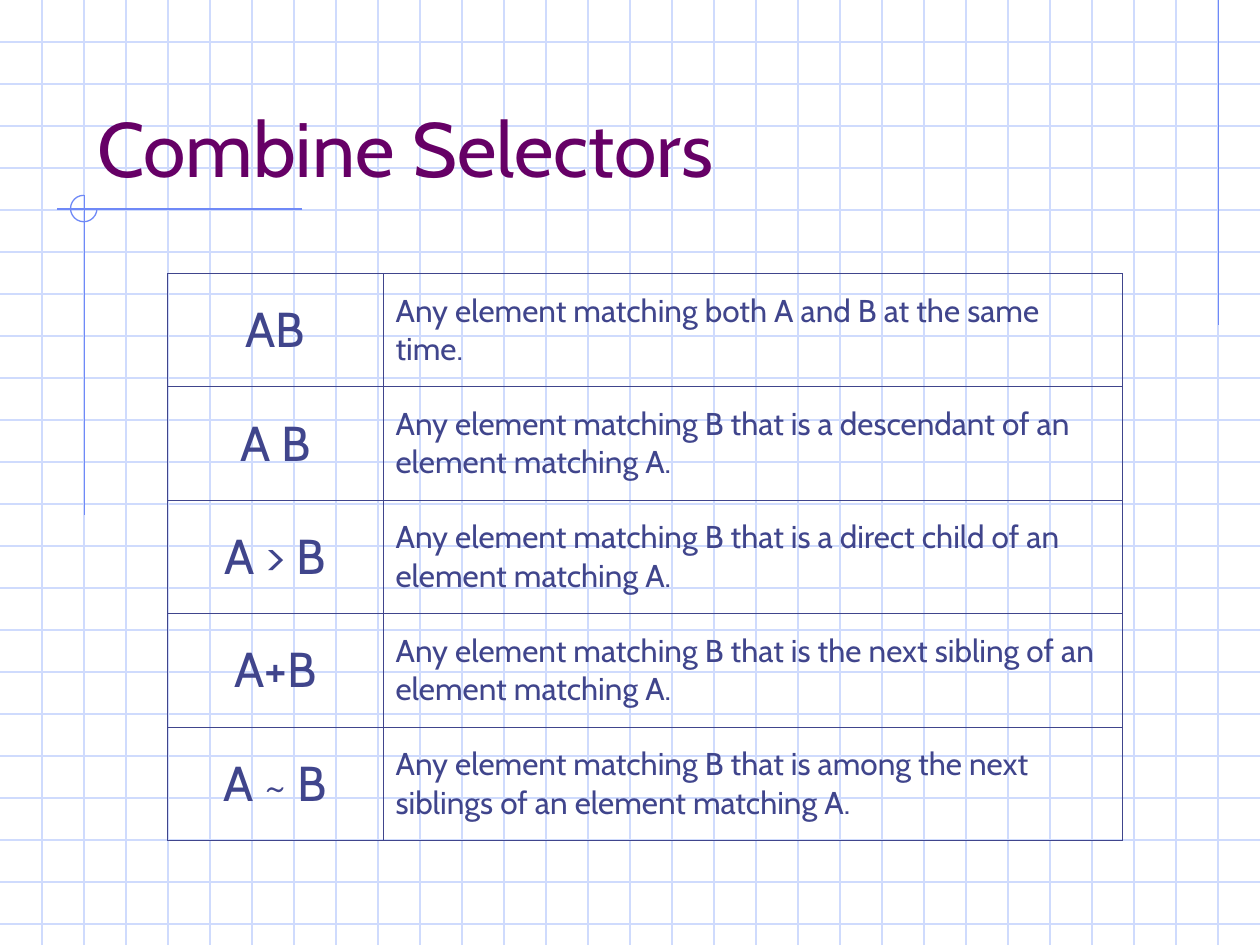
"""Build the slide on combining CSS selectors."""
from dataclasses import dataclass

from lxml.etree import SubElement
from pptx import Presentation
from pptx.dml.color import RGBColor
from pptx.enum.shapes import MSO_CONNECTOR, MSO_SHAPE
from pptx.enum.text import MSO_ANCHOR, MSO_AUTO_SIZE, PP_ALIGN
from pptx.oxml.ns import qn
from pptx.util import Inches, Pt


@dataclass(frozen=True)
class Theme:
    font: str = "Cabin"
    title: str = "660066"
    text: str = "40458C"
    grid: str = "CFDBFD"
    accent: str = "6F89F7"
    title_size: int = 44
    selector_size: int = 28
    meaning_size: int = 18
    rule: float = 0.75
    border: float = 0.45


THEME = Theme()
WIDTH, HEIGHT = 10, 7.5
CELLS_PER_INCH = 3
SELECTORS = [
    ("AB", "Any element matching both A and B at the same time."),
    ("A B", "Any element matching B that is a descendant of an element matching A."),
    ("A > B", "Any element matching B that is a direct child of an element matching A."),
    ("A+B", "Any element matching B that is the next sibling of an element matching A."),
    ("A ~ B", "Any element matching B that is among the next siblings of an element matching A."),
]


def style_text(tf, text, size, color, align):
    tf.text = text
    p = tf.paragraphs[0]
    p.alignment = align
    p.font.name = THEME.font
    p.font.size = Pt(size)
    p.font.color.rgb = RGBColor.from_string(color)


def add_line(s, x1, y1, x2, y2, color):
    line = s.shapes.add_connector(
        MSO_CONNECTOR.STRAIGHT, Inches(x1), Inches(y1), Inches(x2), Inches(y2))
    line.line.color.rgb = RGBColor.from_string(color)
    line.line.width = Pt(THEME.rule)
    SubElement(line.element.spPr, qn("a:effectLst"))


def add_grid(s):
    for i in range(1, int(HEIGHT * CELLS_PER_INCH) + 1):
        y = i / CELLS_PER_INCH
        add_line(s, 0, y, WIDTH, y, THEME.grid)
    for i in range(1, WIDTH * CELLS_PER_INCH):
        x = i / CELLS_PER_INCH
        add_line(s, x, 0, x, HEIGHT, THEME.grid)


def add_accents(s):
    add_line(s, 9.67, 0, 9.67, 2.58, THEME.accent)
    add_line(s, 2.4, 1.66, 0.45, 1.66, THEME.accent)
    add_line(s, 0.67, 1.55, 0.67, 4.09, THEME.accent)
    arc = s.shapes.add_shape(
        MSO_SHAPE.ARC, Inches(0.56), Inches(1.55), Inches(0.21), Inches(0.21))
    arc.adjustments[0], arc.adjustments[1] = 0, 162
    arc.shadow.inherit = False
    arc.fill.background()
    arc.line.color.rgb = RGBColor.from_string(THEME.accent)
    arc.line.width = Pt(THEME.rule)


def add_title(s, text):
    title = s.shapes.title
    title.left, title.top = Inches(0.67), Inches(0.33)
    title.width, title.height = Inches(8.5), Inches(1.25)
    tf = title.text_frame
    tf.auto_size = MSO_AUTO_SIZE.NONE
    tf.vertical_anchor = MSO_ANCHOR.BOTTOM
    style_text(tf, text, THEME.title_size, THEME.title, PP_ALIGN.LEFT)
    s.shapes.element.append(title.element)


def style_cell(cell, text, size, align):
    pr = cell._tc.get_or_add_tcPr()
    for side in ("a:lnL", "a:lnR", "a:lnT", "a:lnB"):
        ln = SubElement(pr, qn(side), w=str(int(Pt(THEME.border))))
        fill = SubElement(ln, qn("a:solidFill"))
        SubElement(fill, qn("a:srgbClr"), val=THEME.text)
    cell.fill.background()
    cell.vertical_anchor = MSO_ANCHOR.MIDDLE
    style_text(cell.text_frame, text, size, THEME.text, align)


def add_selector_table(s, rows):
    table = s.shapes.add_table(
        len(rows), 2, Inches(1.33), Inches(2.17), Inches(7.58), Inches(4.5)).table
    table.first_row = table.horz_banding = False
    table.columns[0].width = Inches(1.71)
    table.columns[1].width = Inches(5.87)
    for i, (selector, meaning) in enumerate(rows):
        style_cell(table.cell(i, 0), selector, THEME.selector_size, PP_ALIGN.CENTER)
        style_cell(table.cell(i, 1), meaning, THEME.meaning_size, PP_ALIGN.LEFT)


def main():
    prs = Presentation()
    prs.slide_width, prs.slide_height = Inches(WIDTH), Inches(HEIGHT)
    s = prs.slides.add_slide(prs.slide_layouts[5])
    add_grid(s)
    add_accents(s)
    add_title(s, "Combine Selectors")
    add_selector_table(s, SELECTORS)
    prs.save("out.pptx")


if __name__ == "__main__":
    main()
